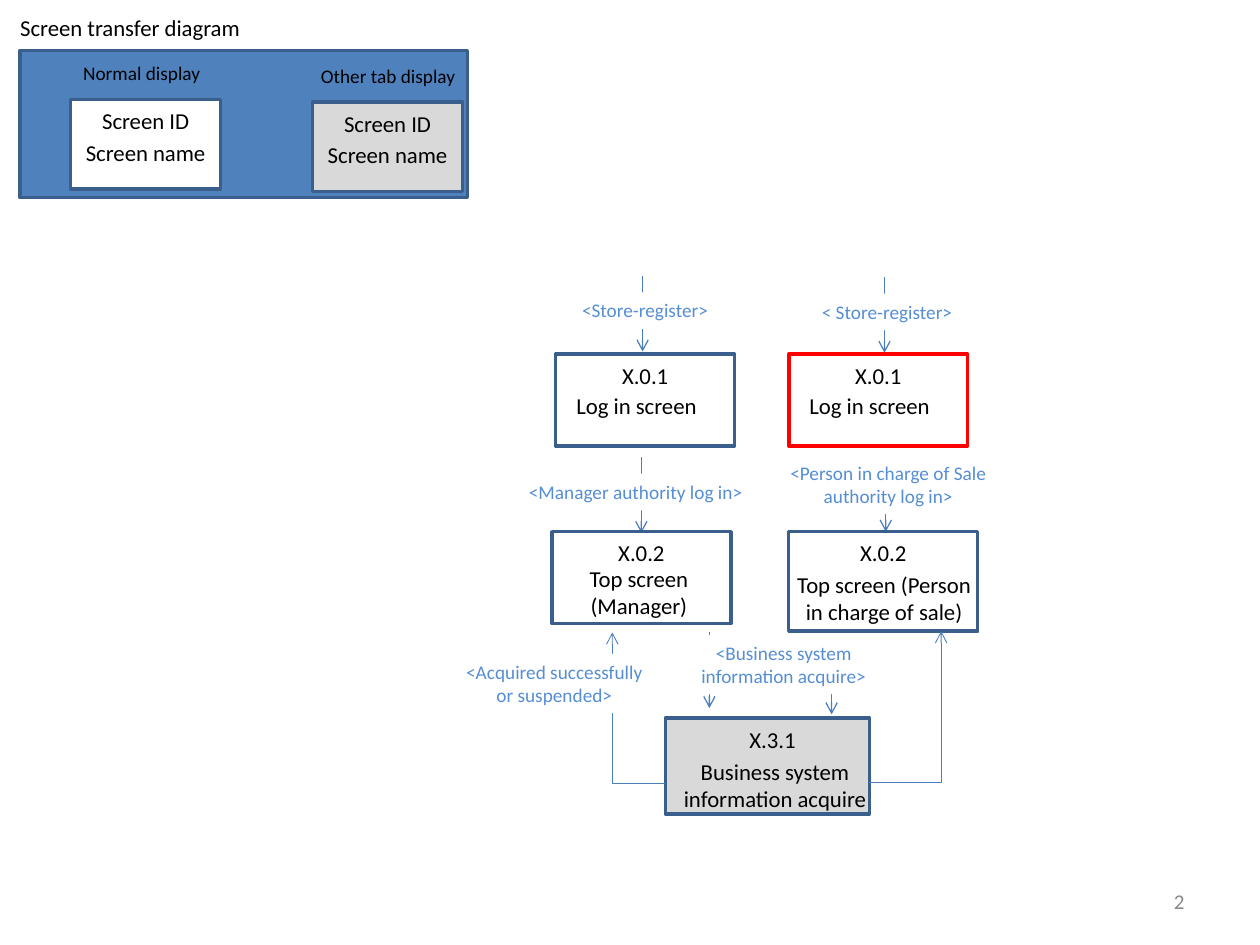
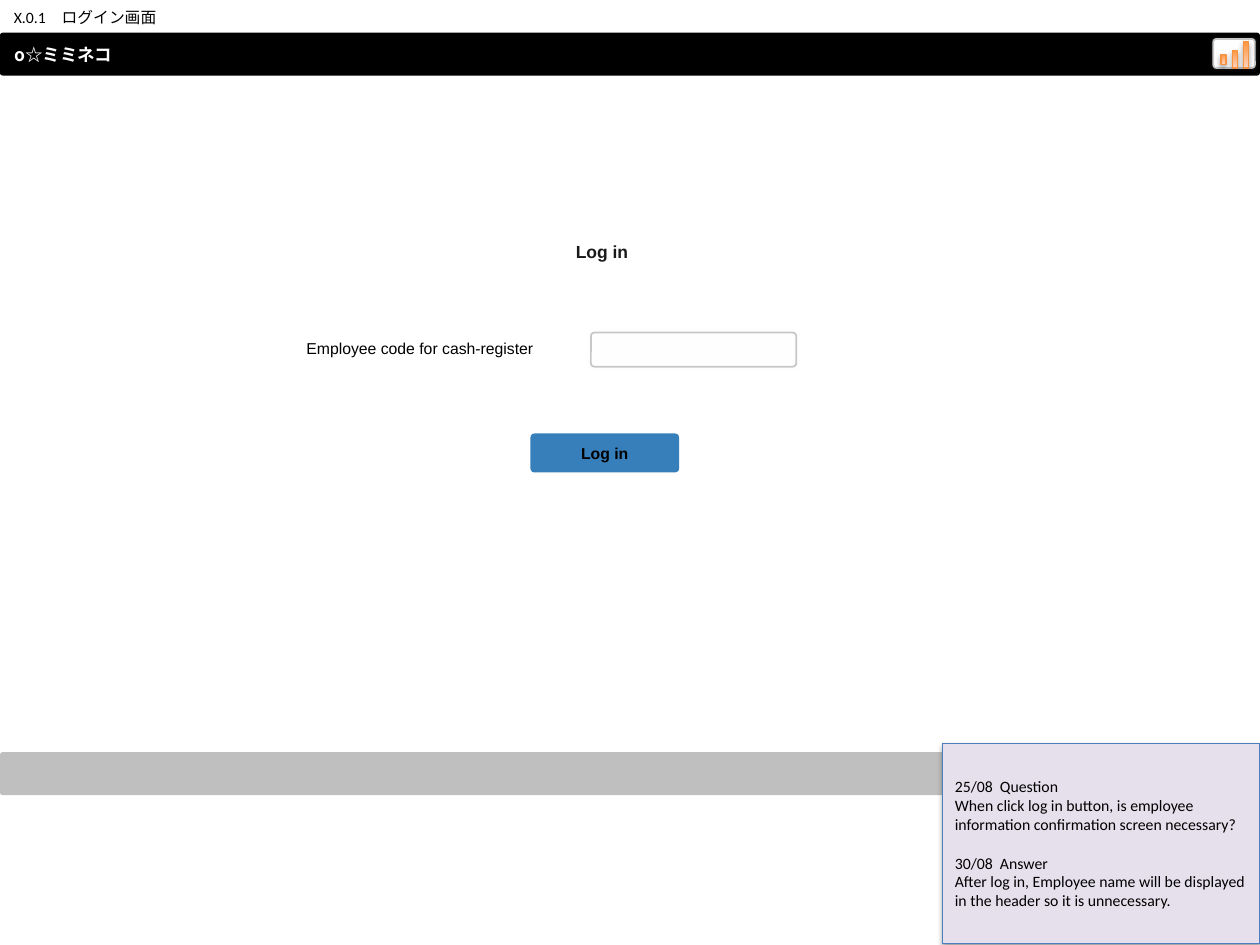
from lxml import etree
from pptx import Presentation
from pptx.dml.color import RGBColor
from pptx.enum.shapes import MSO_CONNECTOR, MSO_SHAPE
from pptx.enum.text import MSO_ANCHOR, PP_ALIGN
from pptx.oxml.ns import qn
from pptx.util import Inches, Pt

COLORS = {
    "text": "000000", "heading": "1A1A1A", "number": "898989", "label": "558ED5",
    "panel": "4F81BD", "frame": "3A5F8C", "arrow": "4B7EBC", "alert": "FF0000",
    "white": "FFFFFF", "other_tab": "D9D9D9", "header": "000000", "footer": "BFBFBF",
    "button": "367FBA", "field": "FFFEFE", "field_line": "C7C7C7", "field_shadow": "EEECE1",
    "note": "E6E0EC", "bar_dark": "FF953E", "bar_light": "FFD2BD", "bar_line": "F69240",
}
SNUG = (0.11, 0.06)
WIDE = (0.16, 0.08)
NORMAL = (0.1, 0.05)
NONE = (0, 0)


def color(name):
    return RGBColor.from_string(COLORS[name])


def style_paragraph(para, size, ink="text", font="Calibri", bold=False, align=PP_ALIGN.LEFT):
    para.alignment = align
    para.font.size = Pt(size)
    para.font.name = font
    para.font.bold = bold
    para.font.color.rgb = color(ink)


def set_frame(shape, insets, anchor=MSO_ANCHOR.TOP, wrap=True):
    frame = shape.text_frame
    frame.word_wrap = wrap
    frame.vertical_anchor = anchor
    frame.margin_left = frame.margin_right = Inches(insets[0])
    frame.margin_top = frame.margin_bottom = Inches(insets[1])
    return frame


def write(shape, text, size, insets=SNUG, anchor=MSO_ANCHOR.TOP, wrap=True, **style):
    frame = set_frame(shape, insets, anchor, wrap)
    frame.text = text
    style_paragraph(frame.paragraphs[0], size, **style)


def add_text(page, box, text, size, **style):
    write(page.shapes.add_textbox(*map(Inches, box)), text, size, **style)


def add_box(page, box, fill, line=None, width=2, rounding=None):
    kind = MSO_SHAPE.RECTANGLE if rounding is None else MSO_SHAPE.ROUNDED_RECTANGLE
    shape = page.shapes.add_shape(kind, *map(Inches, box))
    shape.shadow.inherit = False
    if rounding is not None:
        shape.adjustments[0] = rounding
    if fill:
        shape.fill.solid()
        shape.fill.fore_color.rgb = color(fill)
    if line:
        shape.line.color.rgb = color(line)
        shape.line.width = Pt(width)
    else:
        shape.line.fill.background()
    return shape


def add_shadow(shape, ink="text", opacity=35, blur=3.1, distance=1.8, angle=90):
    effects = shape._element.spPr.find(qn("a:effectLst"))
    shadow = etree.SubElement(effects, qn("a:outerShdw"), blurRad=str(Pt(blur)),
                              dist=str(Pt(distance)), dir=str(angle * 60000), rotWithShape="0")
    tint = etree.SubElement(shadow, qn("a:srgbClr"), val=COLORS[ink])
    etree.SubElement(tint, qn("a:alpha"), val=str(opacity * 1000))


def add_arrow(page, start, end, bent=False):
    kind = MSO_CONNECTOR.ELBOW if bent else MSO_CONNECTOR.STRAIGHT
    arrow = page.shapes.add_connector(kind, *map(Inches, start + end))
    arrow.line.color.rgb = color("arrow")
    arrow.line.width = Pt(0.5 if bent else 0.75)
    properties = arrow._element.spPr
    if bent:  # one corner: sideways first, then up
        properties.find(qn("a:prstGeom")).set("prst", "bentConnector2")
    etree.SubElement(arrow.line._get_or_add_ln(), qn("a:tailEnd"), type="arrow")
    etree.SubElement(properties, qn("a:effectLst"))


def add_title(page, box, spans, size, insets):
    """Fill the title placeholder with (text, font) spans."""
    title = page.shapes.title
    title.left, title.top, title.width, title.height = map(Inches, box)
    para = set_frame(title, insets).paragraphs[0]
    style_paragraph(para, size)
    for text, font in spans:
        span = para.add_run()
        span.text = text
        span.font.name = font


# Screen transfer diagram

def add_screen(page, box, screen_id, name, name_box, fill="white", line="frame", id_shift=0):
    """Draw a screen card; name_box and id_shift are relative to the card."""
    left, top, width, _ = box
    add_box(page, box, fill, line)
    id_width = width if id_shift == 0 else 1.42
    add_text(page, (left + id_shift, top, id_width, 0.33), screen_id, 13, align=PP_ALIGN.CENTER)
    shift, drop, name_width, name_height = name_box
    add_text(page, (left + shift, top + drop, name_width, name_height), name, 13,
             align=PP_ALIGN.CENTER)


def add_label(page, box, text):
    write(add_box(page, box, "white"), text, 11, insets=NORMAL, ink="label",
          align=PP_ALIGN.CENTER)


def add_step(page, start, label_box, text, length=0.6):
    """Draw a downward arrow with its label over the middle."""
    add_arrow(page, start, (start[0], start[1] + length))
    add_label(page, label_box, text)


def add_legend(page, left, top):
    add_box(page, (left, top, 3.55, 1.17), "panel", "frame")
    samples = [
        ("Normal display", 0.24, 0.01, 1.45, 0.4, 0.39, "white"),
        ("Other tab display", 2.21, 0.03, 1.42, 2.32, 0.41, "other_tab"),
    ]
    for caption, shift, drop, width, card_shift, card_drop, fill in samples:
        add_text(page, (left + shift, top + drop, width, 0.34), caption, 11, insets=WIDE,
                 align=PP_ALIGN.CENTER)
        add_screen(page, (left + card_shift, top + card_drop, 1.19, 0.71), "Screen ID",
                   "Screen name", (0, 0.25, 1.19, 0.33), fill)


def add_flow(page):
    log_in = ("X.0.1", "Log in screen", (-0.07, 0.24, 1.42, 0.33))

    # Manager column
    add_step(page, (5.1, 2.19), (4.18, 2.32, 1.88, 0.29), "<Store-register>")
    add_screen(page, (4.41, 2.81, 1.42, 0.73), *log_in)
    add_step(page, (5.09, 3.63), (4.05, 3.76, 1.99, 0.29), "<Manager authority log in>")
    add_screen(page, (4.38, 4.22, 1.42, 0.73), "X.0.2", "Top screen (Manager)",
               (-0.02, 0.2, 1.42, 0.55))

    # Sales column
    add_step(page, (7.02, 2.2), (6.1, 2.33, 1.88, 0.29), "< Store-register>")
    add_screen(page, (6.26, 2.81, 1.42, 0.73), *log_in, line="alert")
    add_step(page, (7.03, 3.62), (6.11, 3.61, 1.88, 0.47),
             "<Person in charge of Sale authority log in>")
    add_screen(page, (6.26, 4.22, 1.5, 0.79), "X.0.2", "Top screen (Person in charge of sale)",
               (-0.07, 0.25, 1.65, 0.5))

    # Shared business system screen and the ways back
    add_arrow(page, (6.6, 5.07), (6.6, 5.67))
    add_step(page, (5.63, 5.02), (5.28, 5.04, 1.88, 0.47),
             "<Business system information acquire>")
    add_screen(page, (5.28, 5.7, 1.62, 0.76), "X.3.1", "Business system information acquire",
               (0, 0.25, 1.74, 0.55), "other_tab", id_shift=0.14)
    add_arrow(page, (5.28, 6.22), (4.86, 5.02), bent=True)
    add_label(page, (3.55, 5.19, 1.7, 0.47), "<Acquired successfully or suspended>")
    add_arrow(page, (6.9, 6.21), (7.47, 5.01), bent=True)


def build_diagram_page(deck):
    page = deck.slides.add_slide(deck.slide_layouts[5])
    add_title(page, (0, 0.03, 3.51, 0.38), [("Screen transfer diagram", "Calibri")], 13, WIDE)
    add_legend(page, 0.16, 0.4)
    add_flow(page)
    add_text(page, (7.17, 6.95, 2.33, 0.4), "2", 12, insets=NORMAL, anchor=MSO_ANCHOR.MIDDLE,
             ink="number", align=PP_ALIGN.RIGHT)


# Log in screen

def add_band(page, top, fill):
    return add_box(page, (0, top, 10, 0.34), fill, rounding=0.067)


def add_field(page, box):
    field = add_box(page, box, "field", "field_line", 1, rounding=0.103)
    add_shadow(field, "field_shadow", 10, 2, 0, 0)


def add_chart_button(page, left, top):
    add_field(page, (left, top, 0.33, 0.23))
    heights = [0.08, 0.14, 0.21]
    bottoms = [0.2, 0.23, 0.23]
    for index, (height, bottom) in enumerate(zip(heights, bottoms)):
        box = (left + 0.06 + 0.09 * index, top + bottom - height, 0.04, height)
        bar = add_box(page, box, None, "bar_line", 0.75)
        bar.fill.gradient()
        bar.fill.gradient_angle = 270
        for stop, shade in zip(bar.fill.gradient_stops, ("bar_dark", "bar_light")):
            stop.color.rgb = color(shade)
        add_shadow(bar)


def add_form(page, left, top):
    add_text(page, (left + 2.5, top, 0.42, 0.17), "Log in", 10, insets=NONE,
             anchor=MSO_ANCHOR.MIDDLE, wrap=False, ink="heading", font="Arial", bold=True)
    add_text(page, (left, top + 0.73, 2.26, 0.25), "Employee code for cash-register", 9,
             insets=NORMAL, font="Arial", align=PP_ALIGN.RIGHT)
    add_field(page, (left + 2.62, top + 0.73, 1.63, 0.27))
    button = add_box(page, (left + 2.14, top + 1.53, 1.18, 0.31), "button", rounding=0.103)
    write(button, "Log in", 9, insets=NONE, anchor=MSO_ANCHOR.MIDDLE, font="Arial", bold=True,
          align=PP_ALIGN.CENTER)


def add_note(page, box, entries):
    note = add_box(page, box, "note", "arrow", 0.75)
    add_shadow(note)
    frame = set_frame(note, NORMAL, MSO_ANCHOR.MIDDLE)
    for index, (heading, body) in enumerate(entries):
        para = frame.add_paragraph() if index else frame.paragraphs[0]
        para.space_before = Pt(11 if index else 0)
        para.text = heading
        style_paragraph(para, 9)
        para = frame.add_paragraph()
        para.text = body
        style_paragraph(para, 9)


def build_log_in_page(deck):
    page = deck.slides.add_slide(deck.slide_layouts[5])
    add_title(page, (0, 0, 3.34, 0.26), [("X.0.1", "Calibri"), ("　ログイン画面", "Arial")], 9, SNUG)
    write(add_band(page, 0.26, "header"), "o☆ミミネコ", 10, insets=(0.11, 0),
          anchor=MSO_ANCHOR.MIDDLE, ink="white", font="Noto Sans CJK JP", bold=True)
    add_chart_button(page, 9.63, 0.31)
    add_form(page, 2.07, 1.91)
    add_band(page, 5.97, "footer")
    add_note(page, (7.48, 5.9, 2.52, 1.59), [
        ("25/08  Question",
         "When click log in button, is employee information confirmation screen necessary?"),
        ("30/08  Answer",
         "After log in, Employee name will be displayed in the header so it is unnecessary."),
    ])


def main():
    deck = Presentation()
    deck.slide_width = Inches(10)
    deck.slide_height = Inches(7.5)
    build_diagram_page(deck)
    build_log_in_page(deck)
    deck.save("out.pptx")


if __name__ == "__main__":
    main()
